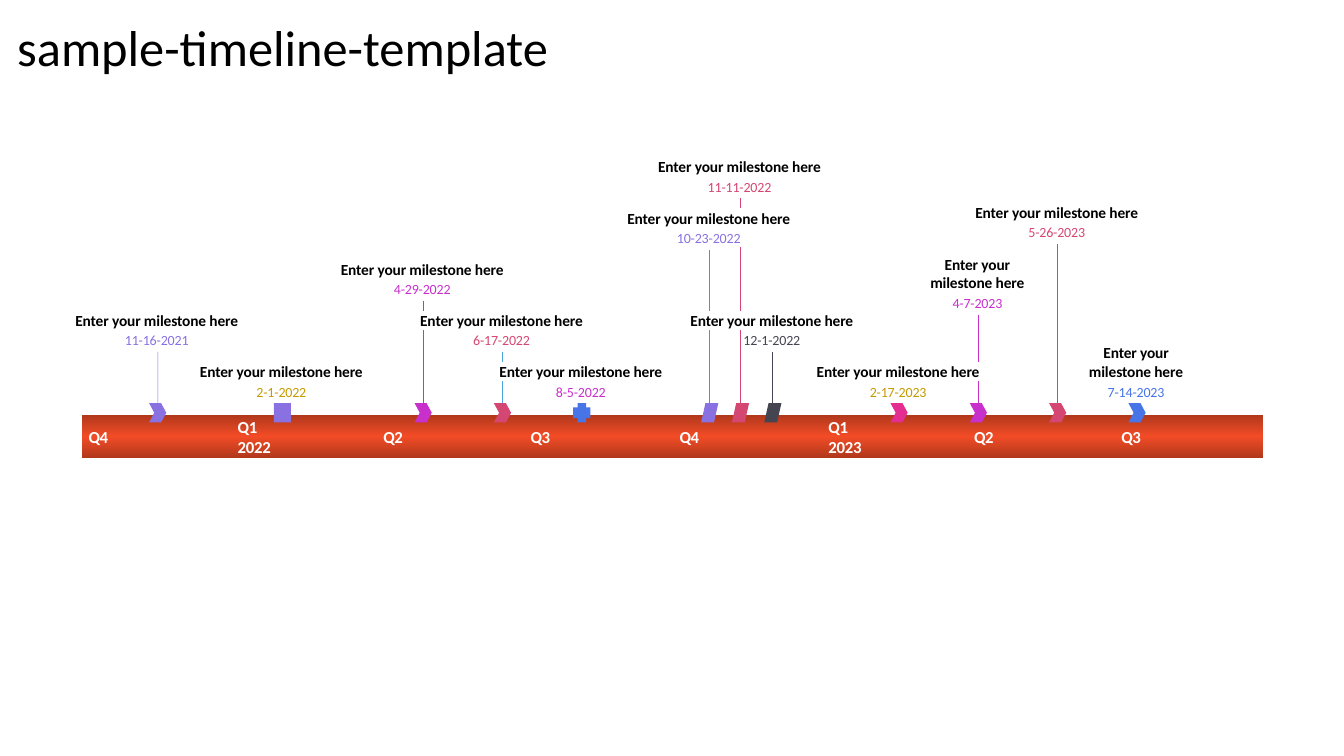
from copy import deepcopy
from itertools import accumulate

from lxml.etree import SubElement
from pptx import Presentation
from pptx.dml.color import RGBColor
from pptx.enum.shapes import MSO_CONNECTOR, MSO_SHAPE
from pptx.enum.text import MSO_ANCHOR, PP_ALIGN
from pptx.oxml.ns import qn
from pptx.util import Inches, Pt

BLACK = RGBColor(0x00, 0x00, 0x00)
WHITE = RGBColor(0xFF, 0xFF, 0xFF)
VIOLET = RGBColor(0x89, 0x71, 0xE1)
MAGENTA = RGBColor(0xC8, 0x30, 0xCC)
ROSE = RGBColor(0xD5, 0x47, 0x73)
BLUE = RGBColor(0x47, 0x75, 0xE7)
SLATE = RGBColor(0x45, 0x45, 0x51)
PINK = RGBColor(0xE3, 0x2D, 0x91)
GOLD = RGBColor(0xC5, 0x9B, 0x00)
SKY = RGBColor(0x4E, 0xA6, 0xDC)
RUST = RGBColor(0xB2, 0x38, 0x1C)
ORANGE = RGBColor(0xF2, 0x4C, 0x26)

# Time scale: the bar covers two years from 1 October 2021
BAR_LEFT, BAR_TOP, BAR_W, BAR_H = 0.81, 4.12, 11.72, 0.42
DAY = BAR_W / 730
MONTH_STARTS = list(accumulate([31, 28, 31, 30, 31, 30, 31, 31, 30, 31, 30], initial=0))
OCTOBER = MONTH_STARTS[9]

# Label rows above the bar
ROW_TOP, ROW_PITCH = 3.8, 0.508
DATE_H, LINE_H = 0.17, 0.19
STEM_END = 4.1
MARKER_W, MARKER_H, MARKER_TOP = 0.17, 0.19, 4.0

CHEVRON, SQUARE, PLUS, SLANT = (MSO_SHAPE.CHEVRON, MSO_SHAPE.RECTANGLE,
                                MSO_SHAPE.CROSS, MSO_SHAPE.PARALLELOGRAM)
# date, row, title lines, marker, marker colour, date colour, stem colour
MILESTONES = [
    ("11-16-2021", 1, 1, CHEVRON, VIOLET, VIOLET, VIOLET),
    ("2-1-2022", 0, 1, SQUARE, VIOLET, GOLD, None),
    ("4-29-2022", 2, 1, CHEVRON, MAGENTA, MAGENTA, MAGENTA),
    ("6-17-2022", 1, 1, CHEVRON, ROSE, ROSE, SKY),
    ("8-5-2022", 0, 1, PLUS, BLUE, MAGENTA, None),
    ("10-23-2022", 3, 1, SLANT, VIOLET, VIOLET, VIOLET),
    ("11-11-2022", 4, 1, SLANT, ROSE, ROSE, ROSE),
    ("12-1-2022", 1, 1, SLANT, SLATE, SLATE, SLATE),
    ("2-17-2023", 0, 1, CHEVRON, PINK, GOLD, None),
    ("4-7-2023", 1.73, 2, CHEVRON, MAGENTA, MAGENTA, MAGENTA),
    ("5-26-2023", 3.11, 1, CHEVRON, ROSE, ROSE, ROSE),
    ("7-14-2023", 0, 2, CHEVRON, BLUE, BLUE, None),
]
QUARTERS = ["Q4", "Q1\v2022", "Q2", "Q3", "Q4", "Q1\v2023", "Q2", "Q3"]

prs = Presentation()
prs.slide_width, prs.slide_height = Inches(13.33), Inches(7.5)
s = prs.slides.add_slide(prs.slide_layouts[6])


def add_text(text, box, size, color, bold=False, align=PP_ALIGN.CENTER, wrap=False, spacing=-10):
    """Add a margin-free label; spacing is in hundredths of a point."""
    tf = s.shapes.add_textbox(*map(Inches, box)).text_frame
    tf.margin_left = tf.margin_right = tf.margin_top = tf.margin_bottom = 0
    tf.vertical_anchor = MSO_ANCHOR.MIDDLE
    tf.word_wrap = wrap
    p = tf.paragraphs[0]
    p.text = text
    p.alignment = align
    p.font.name, p.font.size, p.font.bold = "Calibri", Pt(size), bold
    p.font.color.rgb = color
    p.font._rPr.set("spc", str(spacing))


def add_solid(kind, box):
    """Add a preset shape without outline or shadow."""
    sp = s.shapes.add_shape(kind, *map(Inches, box))
    sp.shadow.inherit = False
    sp.line.fill.background()
    return sp


# Place every milestone by its date
centers, titles, dates = [], [], []
for date, row, lines, *_ in MILESTONES:
    month, day, year = map(int, date.split("-"))
    days = (year - 2021) * 365 + MONTH_STARTS[month - 1] + day - OCTOBER
    x = BAR_LEFT + days * DAY
    label_x = x - 0.01
    date_top = ROW_TOP - row * ROW_PITCH
    title_w = 1.65 if lines == 1 else 0.96
    date_w = 0.07 * len(date) - 0.05
    title_h = lines * LINE_H
    centers.append(x)
    titles.append((label_x - title_w / 2, date_top - 0.02 - title_h, title_w, title_h))
    dates.append((label_x - date_w / 2, date_top, date_w, DATE_H))

# Stems, interrupted wherever they would cross another label
for i, (x, own_date) in enumerate(zip(centers, dates)):
    color = MILESTONES[i][-1]
    if color is None:
        continue
    top = own_date[1] + 0.2
    gaps = sorted((y, y + h) for left, y, w, h in titles + dates
                  if left < x < left + w and y > top)
    for gap_top, gap_bottom in gaps + [(STEM_END, STEM_END)]:
        if gap_top - top > 0.05:
            stem = s.shapes.add_connector(MSO_CONNECTOR.STRAIGHT, Inches(x), Inches(top),
                                          Inches(x), Inches(gap_top))
            stem.line.color.rgb, stem.line.width = color, Pt(0.75)
            SubElement(stem._element.spPr, qn("a:effectLst"))
            if i == 0:
                rgb = stem._element.spPr.find(".//" + qn("a:srgbClr"))
                SubElement(rgb, qn("a:alpha")).set("val", "35000")
        top = gap_bottom

# Time bar
bar = add_solid(MSO_SHAPE.RECTANGLE, (BAR_LEFT, BAR_TOP, BAR_W, BAR_H))
bar.fill.gradient()
stop_list = bar._element.spPr.find(".//" + qn("a:gsLst"))
stop_list.append(deepcopy(stop_list[0]))
for stop, (position, color) in zip(bar.fill.gradient_stops,
                                   [(0, RUST), (0.5, ORANGE), (1, RUST)]):
    stop.position, stop.color.rgb = position, color
bar.fill.gradient_angle = 90

for i, quarter in enumerate(QUARTERS):
    year, quarter_in_year = divmod(i + 3, 4)
    days = year * 365 + MONTH_STARTS[quarter_in_year * 3] - OCTOBER
    tall = "\v" in quarter
    w, h = (0.34, 0.33) if tall else (0.2, 0.2)
    add_text(quarter, (BAR_LEFT + 0.07 + days * DAY, BAR_TOP + (BAR_H - h) / 2, w, h),
             12, WHITE, bold=True, align=PP_ALIGN.LEFT, spacing=-20 if tall else -30)

# Markers and labels
for x, title_box, date_box, milestone in zip(centers, titles, dates, MILESTONES):
    date, _, lines, kind, marker_color, date_color, _ = milestone
    marker = add_solid(kind, (x - MARKER_W / 2, MARKER_TOP, MARKER_W, MARKER_H))
    marker.fill.solid()
    marker.fill.fore_color.rgb = marker_color
    if kind == CHEVRON:
        marker.adjustments[0] = 0.3
    add_text("Enter your milestone here", title_box, 11, BLACK, bold=True, wrap=lines > 1)
    add_text(date, date_box, 10, date_color)

add_text("sample-timeline-template", (0.17, 0.15, 7.89, 0.61), 36, BLACK,
         align=PP_ALIGN.LEFT, wrap=True, spacing=0)

prs.save("out.pptx")
